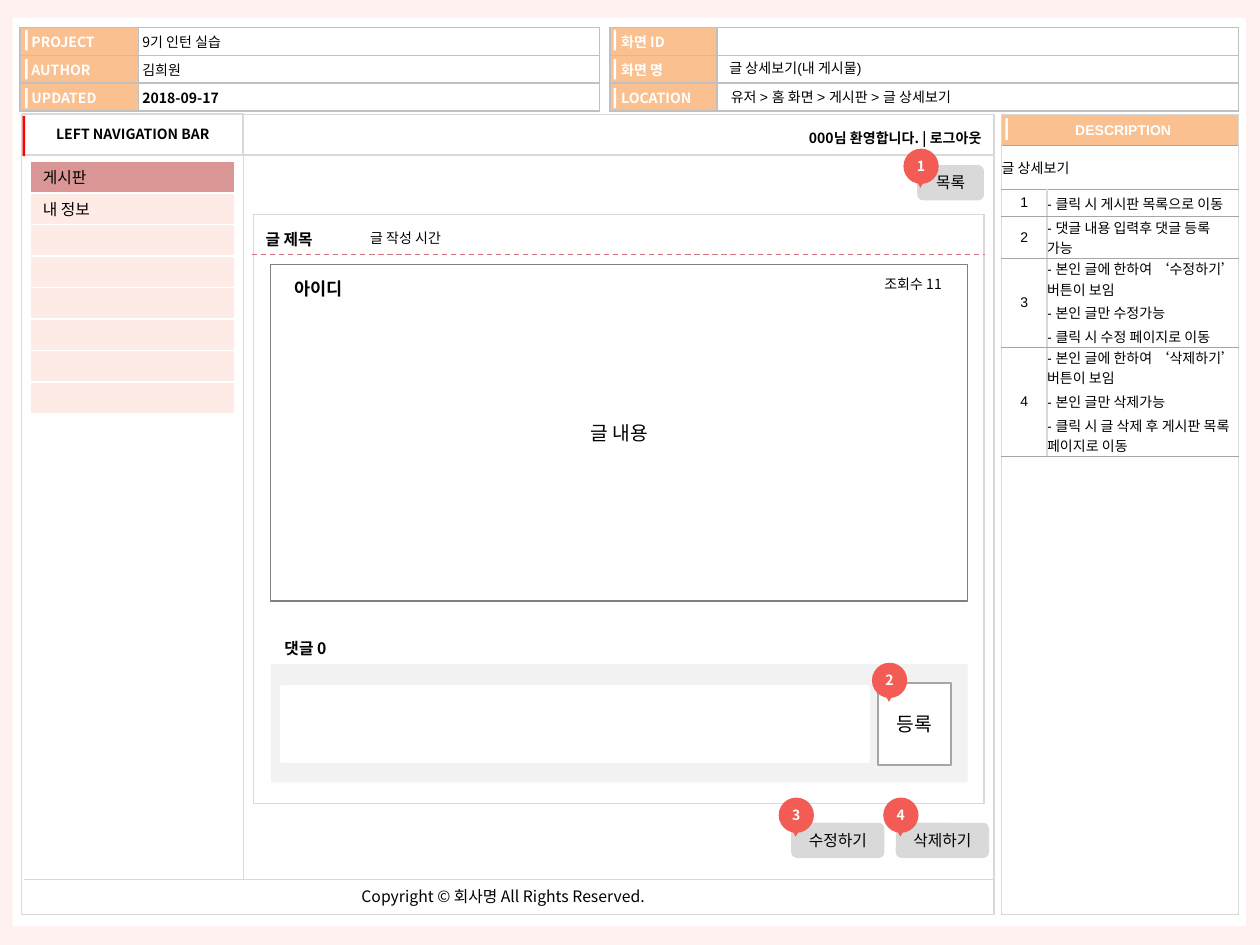
import pptx
import pptx.util
import pptx.dml.color
import pptx.enum.dml
import pptx.enum.shapes
import pptx.enum.text
import pptx.oxml
import pptx.oxml.ns
import lxml.etree

Inches, Pt = pptx.util.Inches, pptx.util.Pt
RGB = pptx.dml.color.RGBColor.from_string
MSO = pptx.enum.shapes.MSO_SHAPE
ALIGN = {"l": pptx.enum.text.PP_ALIGN.LEFT, "c": pptx.enum.text.PP_ALIGN.CENTER,
         "r": pptx.enum.text.PP_ALIGN.RIGHT}
MIDDLE = pptx.enum.text.MSO_ANCHOR.MIDDLE
NOTO, ARIAL = "Noto Sans CJK KR", "Arial"
C = {"page": "FFF1EF", "white": "FFFFFF", "black": "000000", "label": "FAC090",
     "border": "C0C0C0", "light": "D9D9D9", "rule": "A6A6A6", "outline": "808080",
     "panel": "F2F2F2", "red": "FF0000", "pin": "F25C54", "dash": "D67484",
     "active": "D99694", "nav": "FFEBE5"}

prs = pptx.Presentation()
prs.slide_width, prs.slide_height = Inches(10), Inches(7.5)
s = prs.slides.add_slide(prs.slide_layouts[6])
s.background.fill.solid()
s.background.fill.fore_color.rgb = RGB(C["page"])


def write(tf, text, size=8, color="black", bold=False, align="l", font=NOTO):
    tf.text = text
    for i, p in enumerate(tf.paragraphs):
        p.alignment = ALIGN[align]
        if i:
            p.space_before = Pt(2)
        p._p.get_or_add_endParaRPr().set("sz", str(size * 100))
        for r in p.runs:
            r.font.size, r.font.bold, r.font.name = Pt(size), bold, font
            r.font.color.rgb = RGB(C[color])
            ea = lxml.etree.SubElement(r._r.get_or_add_rPr(), pptx.oxml.ns.qn("a:ea"))
            ea.set("typeface", NOTO)


def box(x, y, w, h, fill=None, line=None, width=0.75, kind=MSO.RECTANGLE,
        text="", inset=0.1, **style):
    sp = s.shapes.add_shape(kind, Inches(x), Inches(y), Inches(w), Inches(h))
    sp.shadow.inherit = False
    if fill:
        sp.fill.solid()
        sp.fill.fore_color.rgb = RGB(C[fill])
    else:
        sp.fill.background()
    if line:
        sp.line.color.rgb = RGB(C[line])
        sp.line.width = Pt(width)
    else:
        sp.line.fill.background()
    if text:
        tf = sp.text_frame
        tf.vertical_anchor = MIDDLE
        tf.margin_left = tf.margin_right = Inches(inset)
        tf.margin_top = tf.margin_bottom = Inches(inset / 2)
        write(tf, text, align="c", **style)
    return sp


# Page card and main frame
box(0.1, 0.14, 9.79, 7.21, "white")
box(0.17, 0.91, 7.72, 6.35, line="light")

# Tables: left, top, column widths, row heights, side border, row border
project = [["PROJECT", "9기 인턴 실습"], ["AUTHOR", "김희원"], ["UPDATED", "2018-09-17"]]
screen = [["화면 ID", ""], ["화면 명", ""], ["LOCATION", ""]]
notes = [["글 상세보기", ""],
         ["1", "- 클릭 시 게시판 목록으로 이동"],
         ["2", "- 댓글 내용 입력후 댓글 등록 가능"],
         ["3", "- 본인 글에 한하여 ‘수정하기’ 버튼이 보임\n- 본인 글만 수정가능\n"
               "- 클릭 시 수정 페이지로 이동"],
         ["4", "- 본인 글에 한하여 ‘삭제하기’ 버튼이 보임\n- 본인 글만 삭제가능\n"
               "- 클릭 시 글 삭제 후 게시판 목록 페이지로 이동"]]
menu = [["게시판"], ["내 정보"]] + [[""]] * 6
tables = [
    ("header", project, 0.16, 0.22, [0.94, 3.66], [0.22] * 3, ("border", 1), ("border", 1)),
    ("header", screen, 4.84, 0.22, [0.85, 4.14], [0.22] * 3, ("border", 1), ("border", 1)),
    ("title", [["DESCRIPTION"], [""]], 7.95, 0.91, [1.88], [0.25, 6.1],
     ("light", 1), ("light", 1)),
    ("notes", notes, 7.95, 1.15, [0.36, 1.52], [0.35, 0.22, 0.33, 0.69, 0.85],
     ("light", 1), ("rule", 0.5)),
    ("menu", menu, 0.24, 1.28, [1.62], [0.25] * 8, ("white", 1), ("white", 1)),
]
for kind, cells, x, y, cols, rows, side, level in tables:
    frame = s.shapes.add_table(len(rows), len(cols), Inches(x), Inches(y),
                               Inches(sum(cols)), Inches(sum(rows)))
    table = frame.table
    table.first_row = table.horz_banding = False
    for col, w in zip(table.columns, cols):
        col.width = Inches(w)
    for row, h in zip(table.rows, rows):
        row.height = Inches(h)
    if kind == "notes":
        table.cell(0, 0).merge(table.cell(0, 1))
    for i, values in enumerate(cells):
        for j, value in enumerate(values):
            cell = table.cell(i, j)
            label = (kind == "header" and j == 0) or (kind == "title" and i == 0)
            fill, left, vert = "white", 0, 0
            style = {"font": ARIAL if kind in ("title", "notes") else NOTO}
            if label:
                fill, left = "label", 0.09 if kind == "header" else 0.05
                style.update(color="white", bold=True)
            elif kind == "header":
                left = 0.03
                style["bold"] = i == 2
            elif kind == "menu":
                fill, left, vert = "nav" if i else "active", 0.1, 0.03
                style["size"] = 9
            if kind == "title" or (kind == "notes" and i and j == 0):
                style["align"] = "c"
            cell.margin_left, cell.margin_right = Inches(left), 0
            cell.margin_top = cell.margin_bottom = Inches(vert)
            cell.vertical_anchor = MIDDLE
            write(cell.text_frame, value, **style)
            for edge, (color, width) in zip("LRTB", (side, side, level, level)):
                cell._tc.get_or_add_tcPr().append(pptx.oxml.parse_xml(
                    f'<a:ln{edge} {pptx.oxml.ns.nsdecls("a")} w="{int(Pt(width))}">'
                    f'<a:solidFill><a:srgbClr val="{C[color]}"/></a:solidFill></a:ln{edge}>'))
            cell.fill.solid()
            cell.fill.fore_color.rgb = RGB(C[fill])

# White bars beside the labels
for x in (0.2, 4.87):
    for i in range(3):
        box(x, 0.24 + 0.23 * i, 0.02, 0.16, "white")
box(7.98, 0.94, 0.02, 0.17, "white")

# Left navigation heading
box(0.18, 0.9, 1.75, 0.33, line="light", text="LEFT NAVIGATION BAR", bold=True)
box(0.18, 0.92, 0.02, 0.32, "red")

# Post and comment areas
box(2.01, 1.7, 5.8, 4.68, line="light")
box(2.15, 2.1, 5.53, 2.67, line="outline", text="글 내용", size=11)
box(2.15, 5.27, 5.53, 0.94, "panel")
box(2.24, 5.45, 4.65, 0.59, "white", "white", 2)
box(6.97, 5.42, 0.58, 0.65, "white", "rule", 1, text="등록", size=11)

# Divider lines
for x1, y1, x2, y2, color, width in [
        (0.19, 6.98, 7.89, 6.98, "light", 1), (1.93, 0.91, 1.93, 6.98, "light", 0.75),
        (1.93, 1.23, 7.89, 1.23, "light", 1), (2, 2.02, 7.82, 2.02, "dash", 0.75)]:
    ln = s.shapes.add_connector(pptx.enum.shapes.MSO_CONNECTOR.STRAIGHT,
                                Inches(x1), Inches(y1), Inches(x2), Inches(y2))
    ln.line.color.rgb = RGB(C[color])
    ln.line.width = Pt(width)
    if color == "dash":
        ln.line.dash_style = pptx.enum.dml.MSO_LINE.DASH
    lxml.etree.SubElement(ln._element.spPr, pptx.oxml.ns.qn("a:effectLst"))

# Free text: left, top, width, height, text, wraps, style
for x, y, w, h, text, wrap, style in [
        (5.72, 0.66, 2.9, 0.2, "유저 > 홈 화면 > 게시판 > 글 상세보기", True, {"font": ARIAL}),
        (5.71, 0.43, 2.9, 0.2, "글 상세보기(내 게시물)", True, {"font": ARIAL}),
        (5.29, 0.99, 2.58, 0.22, "000님 환영합니다. | 로그아웃", True,
         {"bold": True, "align": "r"}),
        (2.77, 6.99, 2.52, 0.25, "Copyright ©\u00a0회사명 All Rights Reserved.", False,
         {"size": 9}),
        (2.24, 2.16, 0.62, 0.27, "아이디", False, {"size": 10, "bold": True}),
        (2.16, 5.02, 0.57, 0.25, "댓글 0", False, {"size": 9, "bold": True}),
        (2.84, 1.77, 0.84, 0.24, "글 작성 시간", False, {}),
        (2.01, 1.77, 0.62, 0.25, "글 제목", False, {"size": 9, "bold": True}),
        (6.92, 2.14, 0.7, 0.24, "조회수 11", False, {})]:
    tf = s.shapes.add_textbox(Inches(x), Inches(y), Inches(w), Inches(h)).text_frame
    tf.word_wrap = wrap
    if wrap:
        tf.margin_left = tf.margin_right = Inches(0.08)
        tf.margin_top = tf.margin_bottom = Inches(0.04)
    write(tf, text, **style)

# Buttons
for x, y, w, text in [(7.28, 1.31, 0.53, "목록"), (6.28, 6.53, 0.74, "수정하기"),
                      (7.11, 6.53, 0.74, "삭제하기")]:
    box(x, y, w, 0.28, "light", kind=MSO.ROUNDED_RECTANGLE, text=text, size=9, inset=0.02)

# Numbered pins
for n, (x, y) in enumerate([(7.17, 1.18), (6.92, 5.26), (6.18, 6.33), (7.01, 6.33)], 1):
    box(x, y, 0.28, 0.28, "pin", kind=MSO.OVAL, text=str(n), color="white", bold=True, inset=0)
    box(x + 0.09, y + 0.23, 0.09, 0.08, "pin", kind=MSO.ISOSCELES_TRIANGLE).rotation = 180

prs.save("out.pptx")
